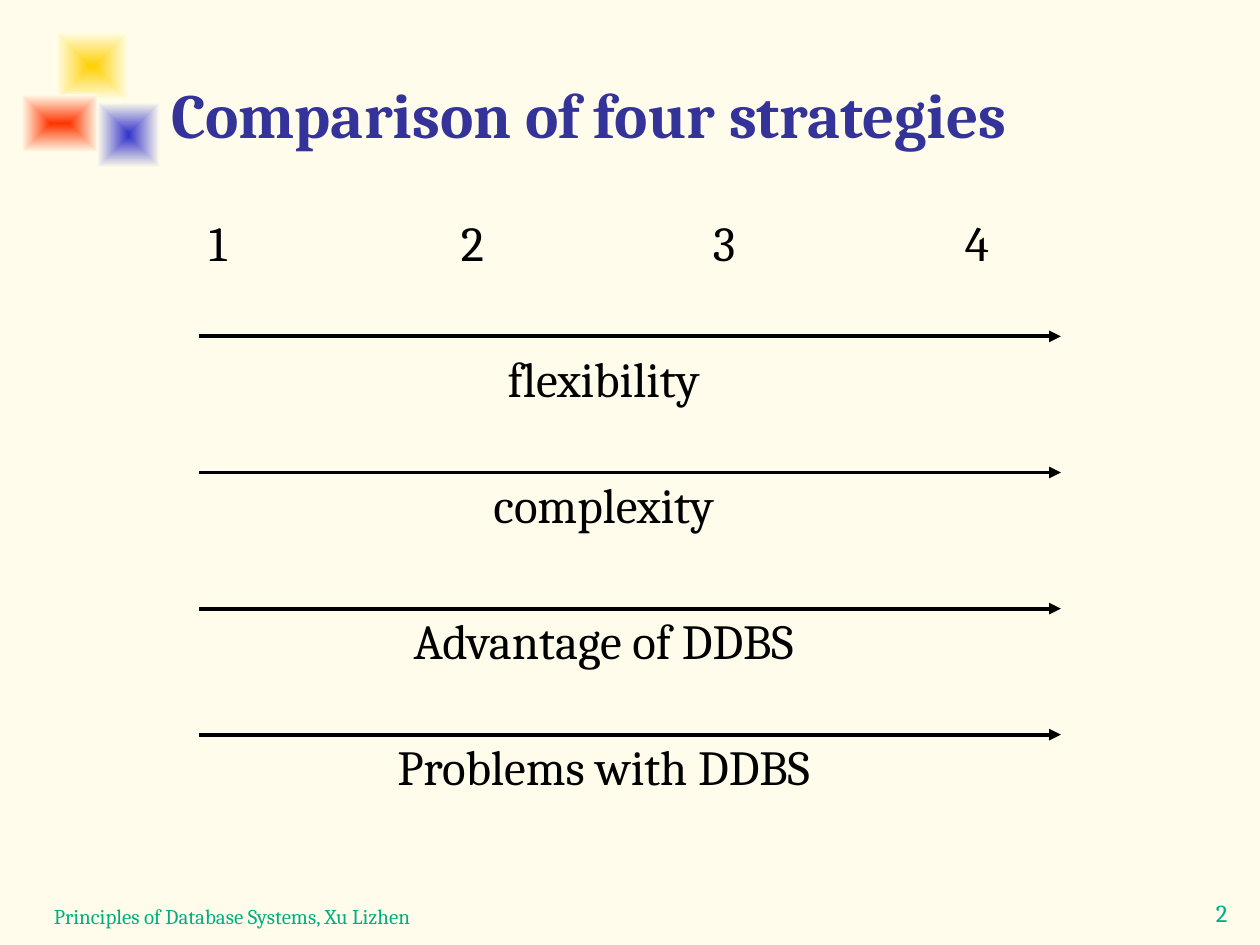
from pptx import Presentation, oxml, util as u
from pptx.dml.color import RGBColor
from pptx.enum import shapes, text
from pptx.oxml import ns

COLORS = {
    "background": "FFFCEB", "fade": "FFFEEB", "yellow": "FFCF01", "blue": "3333CC",
    "red": "FF3300", "title": "333399", "footer": "00AE80", "body": "000000",
}
FONT = "Cambria"
TITLE = "Comparison of four strategies"
FOOTER = "Principles of Database Systems, Xu Lizhen"
PAGE_NUMBER = "2"
STRATEGIES = ["1", "2", "3", "4"]
STRATEGY_GAP = 2
SQUARES = [
    ("yellow", (0.44, 0.25, 0.58, 0.55)),
    ("blue", (0.77, 0.81, 0.5, 0.52)),
    ("red", (0.17, 0.75, 0.61, 0.46)),
]
TRENDS = [
    ("flexibility", 2.67, 2.75),
    ("complexity", 3.75, 3.75),
    ("Advantage of DDBS", 4.83, 4.83),
    ("Problems with DDBS", 5.83, 5.83),
]
ARROW_LEFT, ARROW_RIGHT = 1.58, 8.42
LABEL_LEFT, LABEL_WIDTH, LABEL_HEIGHT = 1.5, 6.58, 0.5
LEFT, CENTER = text.PP_ALIGN.LEFT, text.PP_ALIGN.CENTER
TOP, MIDDLE, BOTTOM = text.MSO_ANCHOR.TOP, text.MSO_ANCHOR.MIDDLE, text.MSO_ANCHOR.BOTTOM


def rgb(name):
    return RGBColor.from_string(COLORS[name])


def element(tag, **attributes):
    node = oxml.parse_xml(f"<a:{tag} {ns.nsdecls('a')}/>")
    for key, value in attributes.items():
        node.set(key, value)
    return node


def add_square(slide, color, bounds):
    shape = slide.shapes.add_shape(shapes.MSO_SHAPE.RECTANGLE, *map(u.Inches, bounds))
    shape.shadow.inherit = False
    shape.line.fill.background()
    shape.fill.gradient()
    for stop, name, position in zip(shape.fill.gradient_stops, (color, "fade"), (0, 1)):
        stop.color.rgb = rgb(name)
        stop.position = position
    linear = shape.element.spPr.find(".//" + ns.qn("a:lin"))
    radial = element("path", path="rect")
    radial.append(element("fillToRect", l="50000", t="50000", r="50000", b="50000"))
    linear.getparent().replace(linear, radial)


def add_text(slide, content, bounds, size, color, align=LEFT, anchor=MIDDLE, bold=False, tabs=()):
    box = slide.shapes.add_textbox(*map(u.Inches, bounds))
    frame = box.text_frame
    frame.word_wrap = True
    frame.vertical_anchor = anchor
    paragraph = frame.paragraphs[0]
    paragraph.text = content
    paragraph.alignment = align
    if tabs:
        tab_list = element("tabLst")
        for position in tabs:
            tab_list.append(element("tab", pos=str(u.Inches(position)), algn="l"))
        paragraph._p.get_or_add_pPr().append(tab_list)
    for run in paragraph.runs:
        run.font.name = FONT
        run.font.size = u.Pt(size)
        run.font.bold = bold
        run.font.color.rgb = rgb(color)


def add_arrow(slide, y):
    points = map(u.Inches, (ARROW_LEFT, y, ARROW_RIGHT, y))
    arrow = slide.shapes.add_connector(shapes.MSO_CONNECTOR.STRAIGHT, *points)
    arrow.line.color.rgb = rgb("body")
    arrow.line.width = u.Pt(2.25)
    arrow.line._get_or_add_ln().append(element("tailEnd", type="triangle"))
    arrow.element.spPr.append(element("effectLst"))


def main():
    presentation = Presentation()
    presentation.slide_width, presentation.slide_height = u.Inches(10), u.Inches(7.5)
    slide = presentation.slides.add_slide(presentation.slide_layouts[6])
    slide.background.fill.solid()
    slide.background.fill.fore_color.rgb = rgb("background")

    for color, bounds in SQUARES:
        add_square(slide, color, bounds)
    add_text(slide, PAGE_NUMBER, (9.4, 7.08, 0.59, 0.38), 14, "footer", CENTER, TOP)
    add_text(slide, FOOTER, (0.33, 6.92, 6.5, 0.5), 12, "footer", anchor=BOTTOM)
    add_text(slide, TITLE, (1.26, 0.17, 8.52, 1.08), 36, "title", anchor=BOTTOM, bold=True)

    tabs = [STRATEGY_GAP * index for index in range(1, len(STRATEGIES))]
    add_text(slide, "\t".join(STRATEGIES), (1.56, 1.67, LABEL_WIDTH, LABEL_HEIGHT),
             28, "body", tabs=tabs)
    for label, arrow_y, label_top in TRENDS:
        add_text(slide, label, (LABEL_LEFT, label_top, LABEL_WIDTH, LABEL_HEIGHT),
                 28, "body", CENTER)
        add_arrow(slide, arrow_y)
    presentation.save("out.pptx")


if __name__ == "__main__":
    main()
